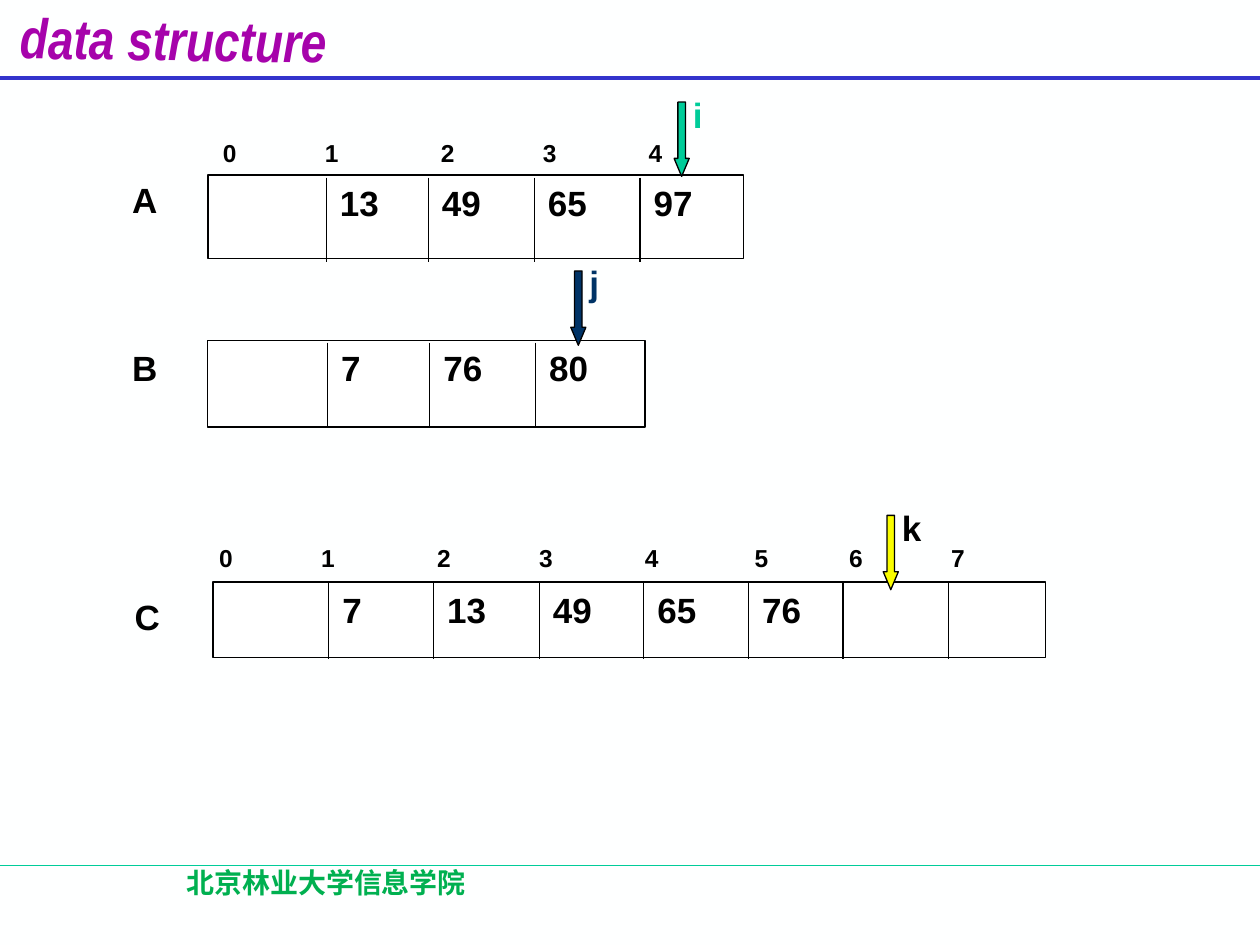
"""Build a slide that merges two sorted arrays, A and B, into a third array C."""
from lxml.etree import SubElement
from pptx import Presentation
from pptx.dml.color import RGBColor
from pptx.enum.shapes import MSO_CONNECTOR, MSO_SHAPE
from pptx.enum.text import MSO_ANCHOR, MSO_AUTO_SIZE, PP_ALIGN
from pptx.oxml.ns import qn
from pptx.util import Inches, Pt

COLORS = {
    "background": "FEFFFF", "title": "A603AB", "rule": "3333CC", "green": "00CC99",
    "navy": "003366", "yellow": "FAFD00", "footer": "00B050", "black": "000000",
    "white": "FFFFFF",
}
INDEX_TABS = [0.81, 1.73, 2.54, 3.38, 4.25, 5, 5.81]
ARRAYS = [
    {"name": "A", "label": (0.95, 1.37), "frame": (1.65, 1.39, 4.25, 0.66),
     "dividers": [2.59, 3.4, 4.24, 5.08], "span": (1.41, 2.08),
     "values": ["13", "49", "65", "97"], "value_top": 1.39, "index": (1.67, 1.05)},
    {"name": "B", "label": (0.95, 2.7), "frame": (1.65, 2.7, 3.47, 0.69),
     "dividers": [2.6, 3.41, 4.25], "span": (2.72, 3.38),
     "values": ["7", "76", "80"], "value_top": 2.7, "index": None},
    {"name": "C", "label": (0.97, 4.68), "frame": (1.69, 4.62, 6.61, 0.6),
     "dividers": [2.61, 3.44, 4.28, 5.11, 5.94, 6.69, 7.53], "span": (4.62, 5.23),
     "values": ["7", "13", "49", "65", "76"], "value_top": 4.62, "index": (1.64, 4.26)},
]
POINTERS = [
    ("i", 5.35, 0.81, "green", "green"),
    ("j", 4.53, 2.15, "navy", "navy"),
    ("k", 7.01, 4.09, "yellow", "black"),
]


def add_text(shapes, text, left, top, width, height, size=20, color="black", font="Arial"):
    shape = shapes.add_textbox(Inches(left), Inches(top), Inches(width), Inches(height))
    shape.text_frame.word_wrap = True
    paragraph = shape.text_frame.paragraphs[0]
    paragraph.text = text
    run_font = paragraph.runs[0].font
    run_font.name = font
    run_font.size = Pt(size)
    run_font.bold = True
    run_font.color.rgb = RGBColor.from_string(COLORS[color])
    return paragraph


def add_line(shapes, start, end, color="black", width=0.75):
    connector = shapes.add_connector(
        MSO_CONNECTOR.STRAIGHT, *[Inches(value) for value in (*start, *end)])
    connector.line.color.rgb = RGBColor.from_string(COLORS[color])
    connector.line.width = Pt(width)
    SubElement(connector._element.spPr, qn("a:effectLst"))


presentation = Presentation()
presentation.slide_width = Inches(10)
presentation.slide_height = Inches(7.5)
slide = presentation.slides.add_slide(presentation.slide_layouts[5])
slide.background.fill.solid()
slide.background.fill.fore_color.rgb = RGBColor.from_string(COLORS["background"])

title = slide.shapes.title
title.left, title.top = Inches(0.06), Inches(-0.01)
title.width, title.height = Inches(2.8), Inches(0.54)
title.rotation = 0.8
title.text_frame.text = "data structure"
title.text_frame.word_wrap = True
title.text_frame.auto_size = MSO_AUTO_SIZE.NONE
title.text_frame.vertical_anchor = MSO_ANCHOR.TOP
title_paragraph = title.text_frame.paragraphs[0]
title_paragraph.alignment = PP_ALIGN.LEFT
title_font = title_paragraph.runs[0].font
title_font.name = "Arial Narrow"
title_font.size = Pt(32)
title_font.bold = True
title_font.italic = True
title_font.color.rgb = RGBColor.from_string(COLORS["title"])

add_line(slide.shapes, (0, 0.62), (10, 0.62), "rule", 2.25)
add_line(slide.shapes, (0, 6.87), (10, 6.87), "green")
footer = add_text(slide.shapes, "北京林业大学信息学院", 0.52, 6.82, 4.14, 0.5,
                  16, "footer", "Noto Sans CJK SC")
footer.alignment = PP_ALIGN.CENTER
SubElement(footer.runs[0].font._element, qn("a:ea"), typeface="Noto Sans CJK SC")

for array in ARRAYS:
    frame = slide.shapes.add_shape(
        MSO_SHAPE.RECTANGLE, *[Inches(value) for value in array["frame"]])
    frame.shadow.inherit = False
    frame.fill.solid()
    frame.fill.fore_color.rgb = RGBColor.from_string(COLORS["white"])
    frame.line.color.rgb = RGBColor.from_string(COLORS["black"])
    frame.line.width = Pt(0.75)
    top, bottom = array["span"]
    for divider in array["dividers"]:
        add_line(slide.shapes, (divider, top), (divider, bottom))
    for divider, value in zip(array["dividers"], array["values"]):
        add_text(slide.shapes, value, divider + 0.01, array["value_top"], 0.67, 0.44)
    add_text(slide.shapes, array["name"], *array["label"], 0.67, 0.44)
    if array["index"]:
        tabs = INDEX_TABS[:len(array["dividers"])]
        numbers = "\t".join(str(number) for number in range(len(tabs) + 1))
        index = add_text(slide.shapes, numbers, *array["index"], array["frame"][2], 0.34, 14)
        tab_list = SubElement(index._p.get_or_add_pPr(), qn("a:tabLst"))
        for tab in tabs:
            SubElement(tab_list, qn("a:tab"), pos=str(Inches(tab)), algn="l")

for name, left, top, fill, color in POINTERS:
    group = slide.shapes.add_group_shape()
    arrow = group.shapes.add_shape(
        MSO_SHAPE.DOWN_ARROW, Inches(left), Inches(top), Inches(0.12), Inches(0.59))
    arrow.adjustments[0] = 0.5
    arrow.adjustments[1] = 1.19
    arrow.shadow.inherit = False
    arrow.fill.solid()
    arrow.fill.fore_color.rgb = RGBColor.from_string(COLORS[fill])
    arrow.line.color.rgb = RGBColor.from_string(COLORS["black"])
    arrow.line.width = Pt(0.75)
    add_text(group.shapes, name, left + 0.05, top - 0.12, 0.53, 0.44, color=color)

presentation.save("out.pptx")
